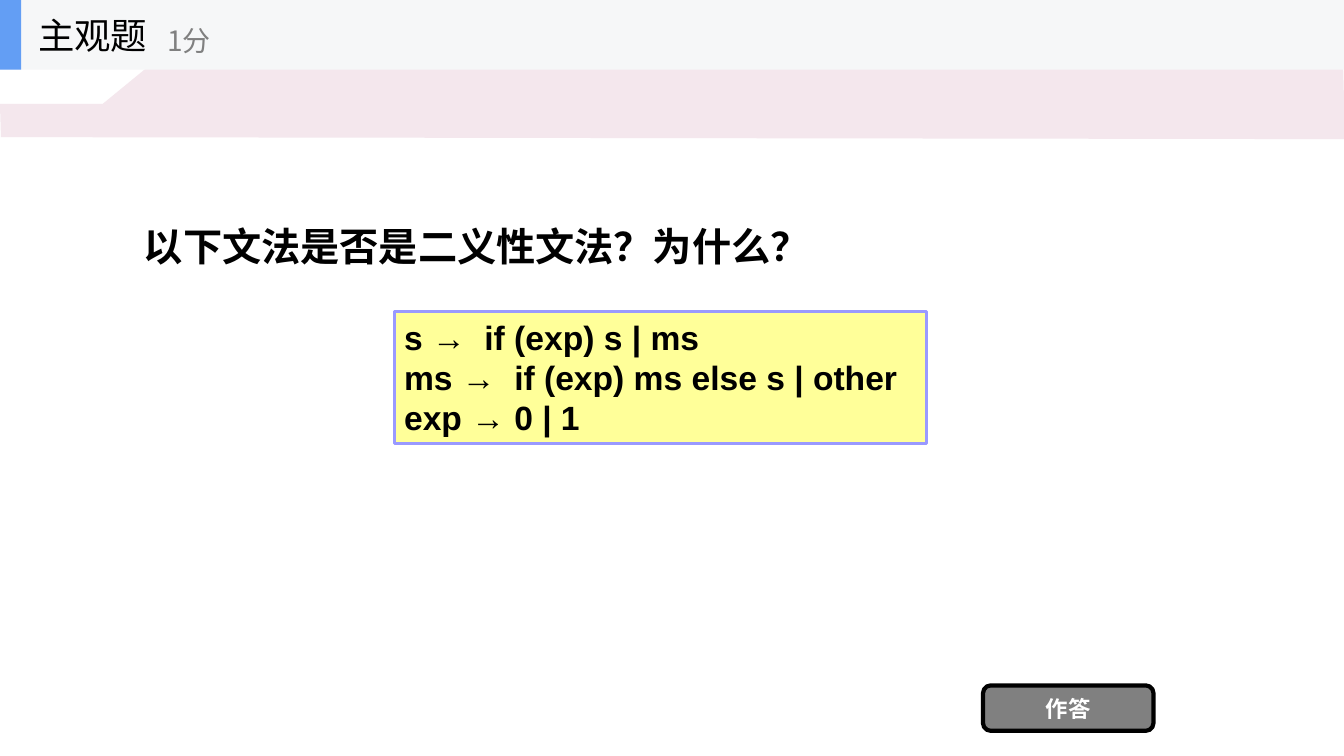
from pptx import Presentation
from pptx.dml.color import RGBColor
from pptx.enum.shapes import MSO_SHAPE as Shape
from pptx.enum.text import MSO_ANCHOR as Anchor, PP_ALIGN as Align
from pptx.oxml.ns import qn
from pptx.util import Inches, Pt
from lxml import etree

BLACK = RGBColor(0x00, 0x00, 0x00)
WHITE = RGBColor(0xFF, 0xFF, 0xFF)
GRAY = RGBColor(0x80, 0x80, 0x80)
PINK = RGBColor(0xF4, 0xE7, 0xED)
YELLOW = RGBColor(0xFF, 0xFF, 0x99)
LAVENDER = RGBColor(0x99, 0x99, 0xFF)
HEADER_GRAY = RGBColor(0xF6, 0xF7, 0xF8)
HEADER_BLUE = RGBColor(0x63, 0x9E, 0xF4)
CHINESE_FONT = "Noto Sans CJK SC"

presentation = Presentation()
presentation.slide_width = Inches(13.33)
presentation.slide_height = Inches(7.5)
slide = presentation.slides.add_slide(presentation.slide_layouts[6])


def add_block(kind, left, top, width, height, fill, line=None, line_width=1):
    shape = slide.shapes.add_shape(
        kind, Inches(left), Inches(top), Inches(width), Inches(height))
    shape.shadow.inherit = False
    shape.fill.solid()
    shape.fill.fore_color.rgb = fill
    if line is None:
        shape.line.fill.background()
    else:
        shape.line.color.rgb = line
        shape.line.width = Pt(line_width)
    return shape


def write(shape, text, size, color=BLACK, font=CHINESE_FONT, bold=False,
          align=Align.LEFT, anchor=Anchor.MIDDLE, spacing=None):
    frame = shape.text_frame
    frame.word_wrap = True
    frame.vertical_anchor = anchor
    frame.text = text
    for paragraph in frame.paragraphs:
        paragraph.alignment = align
        paragraph.line_spacing = spacing
        for run in paragraph.runs:
            run.font.size = Pt(size)
            run.font.bold = bold
            run.font.color.rgb = color
            run.font.name = font
            east_asian = etree.SubElement(run.font._element, qn("a:ea"))
            east_asian.set("typeface", font)


# Pink band with its notched upper edge
outline = [(0, 1.03), (1.02, 1.03), (1.8, 0.39), (5, 0.39), (5.24, 0.6),
           (13.32, 0.59), (13.34, 1.38), (0.01, 1.36)]
points = [(Inches(x), Inches(y)) for x, y in outline]
builder = slide.shapes.build_freeform(*points[0])
builder.add_line_segments(points[1:], close=True)
band = builder.convert_to_shape()
band.shadow.inherit = False
band.fill.solid()
band.fill.fore_color.rgb = PINK
band.line.fill.background()

# Question
question = slide.shapes.add_textbox(
    Inches(1.33), Inches(1.15), Inches(10.67), Inches(2.34))
write(question, "以下文法是否是二义性文法？为什么？", 28, bold=True, spacing=1.5)

# Answer button
button = add_block(Shape.ROUNDED_RECTANGLE, 9.75, 6.8, 1.69, 0.45, GRAY, BLACK, 3)
write(button, "作答", 16, color=WHITE, bold=True, align=Align.CENTER)

# Grammar rules
grammar = add_block(Shape.RECTANGLE, 3.91, 3.09, 5.28, 1.31, YELLOW, LAVENDER, 2.25)
rules = ["s →  if (exp) s | ms",
         "ms →  if (exp) ms else s | other",
         "exp → 0 | 1"]
write(grammar, "\n".join(rules), 24, font="Arial", bold=True, anchor=Anchor.TOP)

# Header bar with question type and score
add_block(Shape.RECTANGLE, 0, 0, 13.33, 0.69, HEADER_GRAY)
add_block(Shape.RECTANGLE, 0, 0, 0.21, 0.69, HEADER_BLUE)
question_type = slide.shapes.add_textbox(
    Inches(0.28), Inches(0), Inches(2.08), Inches(0.69))
write(question_type, "主观题", 26)
score = slide.shapes.add_textbox(
    Inches(1.56), Inches(0.12), Inches(2.5), Inches(0.56))
write(score, "1分", 20, color=GRAY)

presentation.save("out.pptx")
